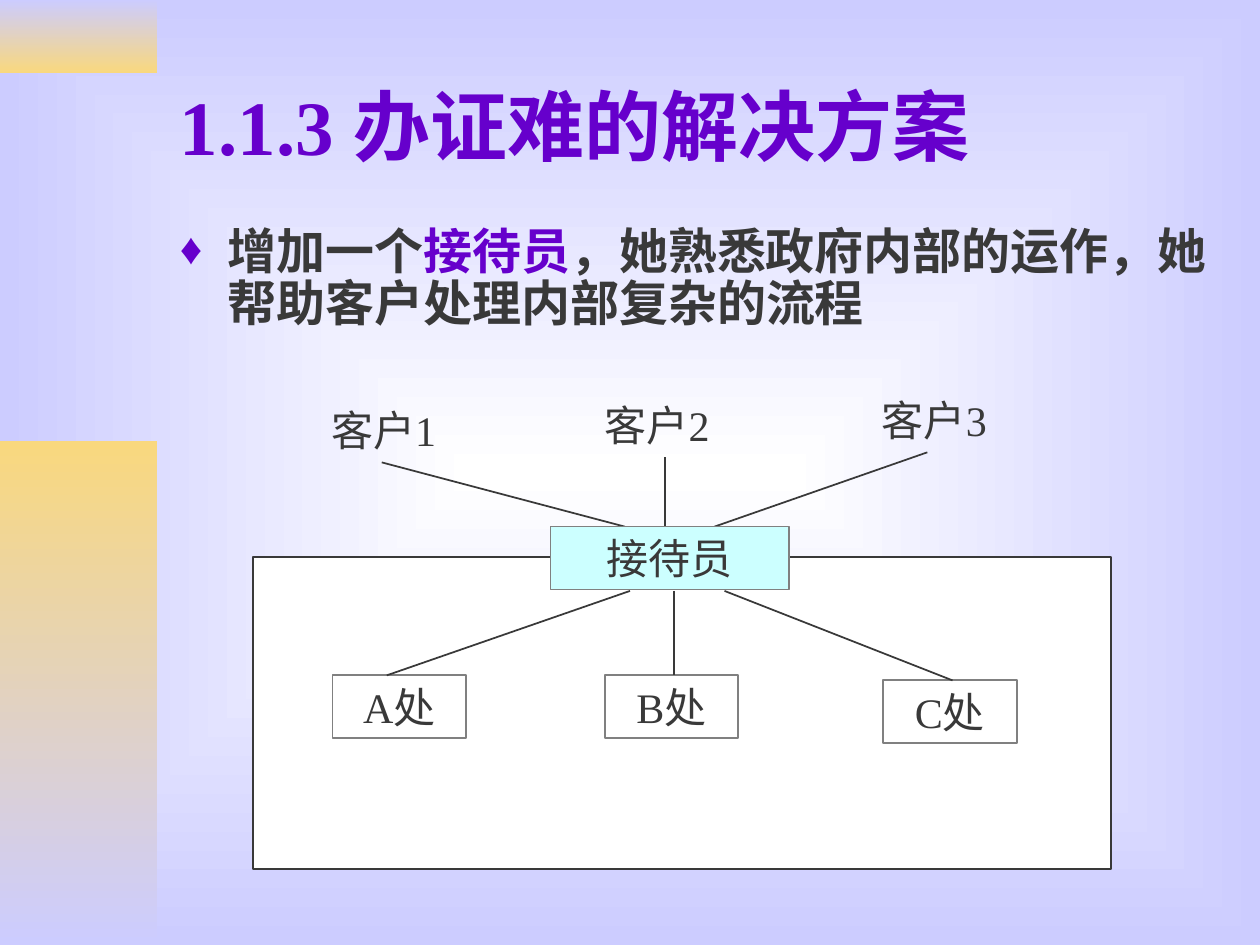
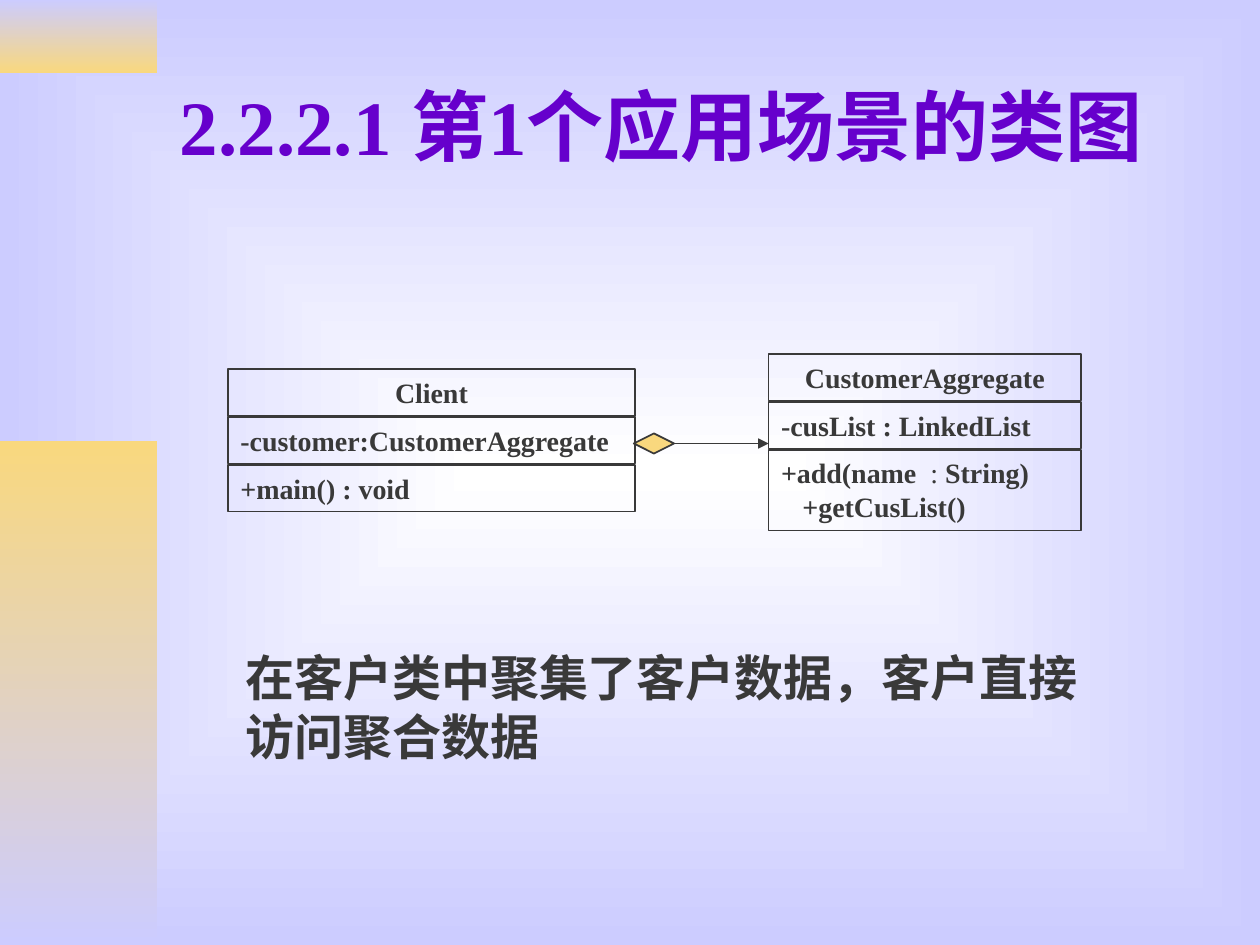
from collections import namedtuple

from lxml import etree
from pptx import Presentation
from pptx.dml.color import RGBColor
from pptx.enum.shapes import MSO_CONNECTOR as Link, MSO_SHAPE as Shape
from pptx.enum.text import MSO_ANCHOR as Anchor, PP_ALIGN as Align
from pptx.oxml.ns import qn
from pptx.util import Inches, Pt

COLORS = {
    "white": "FFFFFF", "lavender": "CCCCFF", "gold": "F9D87E", "violet": "6600CC",
    "ink": "393939", "grey": "808080", "aqua": "CCFFFF",
}
FONT = "Times New Roman"
Box = namedtuple("Box", "left top width height")


def color(name):
    return RGBColor.from_string(COLORS[name])


def add_sub(parent, tag, **attributes):
    return etree.SubElement(parent, qn(tag), attributes)


def set_gradient(fill, first, last):
    fill.gradient()
    for stop, name in zip(fill.gradient_stops, (first, last)):
        stop.color.rgb = color(name)


def write(holder, paragraphs, size, bold=False, align=Align.LEFT, anchor=Anchor.TOP):
    """Fill a shape with paragraphs, each a list of (text, colour, bold) runs or a plain string."""
    frame = holder.text_frame
    frame.word_wrap = True
    frame.vertical_anchor = anchor
    for index, runs in enumerate(paragraphs):
        para = frame.add_paragraph() if index else frame.paragraphs[0]
        para.alignment = align
        if isinstance(runs, str):
            runs = [(runs, "ink", bold)]
        for text, name, heavy in runs:
            span = para.add_run()
            span.text = text
            span.font.name = FONT
            span.font.size = Pt(size)
            span.font.bold = heavy
            span.font.color.rgb = color(name)
    return frame.paragraphs


def add_text(page, box, paragraphs, size, **style):
    holder = page.shapes.add_textbox(*map(Inches, box))
    return write(holder, paragraphs, size, **style)


def add_panel(page, box, fill=None, line=None, kind=Shape.RECTANGLE):
    panel = page.shapes.add_shape(kind, *map(Inches, box))
    panel.shadow.inherit = False
    if fill:
        panel.fill.solid()
        panel.fill.fore_color.rgb = color(fill)
    else:
        panel.fill.background()
    if line:
        panel.line.color.rgb = color(line)
        panel.line.width = Pt(1)
    else:
        panel.line.fill.background()
    return panel


def add_line(page, start, end, arrow=False):
    line = page.shapes.add_connector(Link.STRAIGHT, *map(Inches, (*start, *end)))
    line.line.color.rgb = color("ink")
    line.line.width = Pt(1)
    if arrow:
        add_sub(line.line._get_or_add_ln(), "a:tailEnd", type="triangle")
    add_sub(line._element.spPr, "a:effectLst")


def add_page(deck, title):
    page = deck.slides.add_slide(deck.slide_layouts[6])

    # Background glowing from the centre
    set_gradient(page.background.fill, "white", "lavender")
    gradient = page._element.find(".//" + qn("a:gradFill"))
    gradient.remove(gradient.find(qn("a:lin")))
    glow = add_sub(gradient, "a:path", path="rect")
    add_sub(glow, "a:fillToRect", l="50000", t="50000", r="50000", b="50000")

    # Left bands
    for top, height, first, last in ((0, 0.58, "lavender", "gold"), (3.5, 4, "gold", "lavender")):
        band = add_panel(page, Box(0, top, 1.25, height))
        set_gradient(band.fill, first, last)
        band.fill.gradient_angle = 270

    # Title
    add_text(page, Box(1.33, 0.33, 8.5, 1.32), [[(title, "violet", True)]], 44,
             anchor=Anchor.MIDDLE)
    return page


def add_bullet(page, box, runs):
    para = add_text(page, box, [runs], 28)[0]
    para.line_spacing = 0.9
    props = para._p.get_or_add_pPr()
    props.set("marL", str(Inches(0.38)))
    props.set("indent", str(Inches(-0.38)))
    bullet_color = add_sub(props, "a:buClr")
    add_sub(bullet_color, "a:srgbClr", val=COLORS["violet"])
    add_sub(props, "a:buSzPct", val="90000")
    add_sub(props, "a:buFont", typeface=FONT)
    add_sub(props, "a:buChar", char="♦")


def add_reception_diagram(page, box):
    left, top, width, height = box
    row = 0.5
    desk = Box(left + 2.36, top + 1.1, 1.89, row)
    desk_bottom = desk.top + row + 0.01

    # Government building
    add_panel(page, Box(left, top + 1.34, width, height - 1.34), "white", "ink")

    # Customers: label offset, then line start and its end on the desk
    customers = ((0.23, 0.08, 1.02, 2.95), (2.4, 0.04, 3.27, 3.27), (4.6, 0, 5.35, 3.66))
    for number, (x, y, start, end) in enumerate(customers, 1):
        add_text(page, Box(left + x, top + y, 1.61, row), [f"客户{number}"], 24,
                 align=Align.CENTER)
        line_top = top + max(y, 0.04) + 0.51 if number < 3 else top + 0.51
        add_line(page, (left + start, line_top), (left + end, desk.top))

    # Offices: box offset, then line start on the desk and its end
    offices = (("A", 0.63, 2.28, 2.99, 1.06), ("B", 2.79, 2.28, 3.34, 3.34),
               ("C", 5, 2.32, 3.74, 5.55))
    for name, x, y, start, end in offices:
        office = add_panel(page, Box(left + x, top + y, 1.06, row), line="grey")
        write(office, [f"{name}处"], 24, align=Align.CENTER)
        add_line(page, (left + start, desk_bottom), (left + end, top + y))

    # Receptionist desk
    write(add_panel(page, desk, "aqua", "grey"), ["接待员"], 24, align=Align.CENTER)


def add_class(page, box, name, field, methods):
    """Draw a class as three stacked cells; the last takes the height that is left."""
    row, step = 0.37, 0.38
    cells = (([name], Align.CENTER), ([field], Align.LEFT), (methods, Align.LEFT))
    for index, (lines, align) in enumerate(cells):
        height = box.height - 2 * step if index == 2 else row
        cell = add_panel(page, Box(box.left, box.top + index * step, box.width, height), line="ink")
        paras = write(cell, lines, 16, bold=True, align=align)
        for para in paras[1:]:
            para._p.get_or_add_pPr().set("marL", str(Inches(0.17)))


def add_class_diagram(page, box):
    client = Box(box.left, box.top + 0.12, 3.23, 1.13)
    aggregate = Box(box.left + box.width - 2.48, box.top, 2.48, box.height)
    add_class(page, client, "Client", "-customer:CustomerAggregate", ["+main() : void"])
    add_class(page, aggregate, "CustomerAggregate", "-cusList : LinkedList", [
        [("+add(name", "ink", True), ("  : ", "ink", False), ("String)", "ink", True)],
        "+getCusList()",
    ])

    # Aggregation link
    middle = box.top + 0.71
    diamond = Box(client.left + client.width - 0.01, middle - 0.08, 0.32, 0.16)
    add_panel(page, diamond, "gold", "ink", Shape.FLOWCHART_DECISION)
    add_line(page, (diamond.left + diamond.width, middle), (aggregate.left, middle), arrow=True)


def main():
    deck = Presentation()
    deck.slide_width, deck.slide_height = Inches(10), Inches(7.5)

    page = add_page(deck, "1.1.3 办证难的解决方案")
    add_bullet(page, Box(1.33, 1.75, 8.5, 0.98), [
        ("增加一个", "ink", True), ("接待员", "violet", True),
        ("，她熟悉政府内部的运作，她帮助客户处理内部复杂的流程", "ink", True),
    ])
    add_reception_diagram(page, Box(2.01, 3.08, 6.81, 3.82))

    page = add_page(deck, "2.2.2.1 第1个应用场景的类图")
    add_class_diagram(page, Box(1.81, 2.81, 6.77, 1.4))
    add_text(page, Box(1.85, 5.09, 6.93, 1.04),
             ["在客户类中聚集了客户数据，客户直接访问聚合数据"], 28, bold=True)

    deck.save("out.pptx")


if __name__ == "__main__":
    main()
